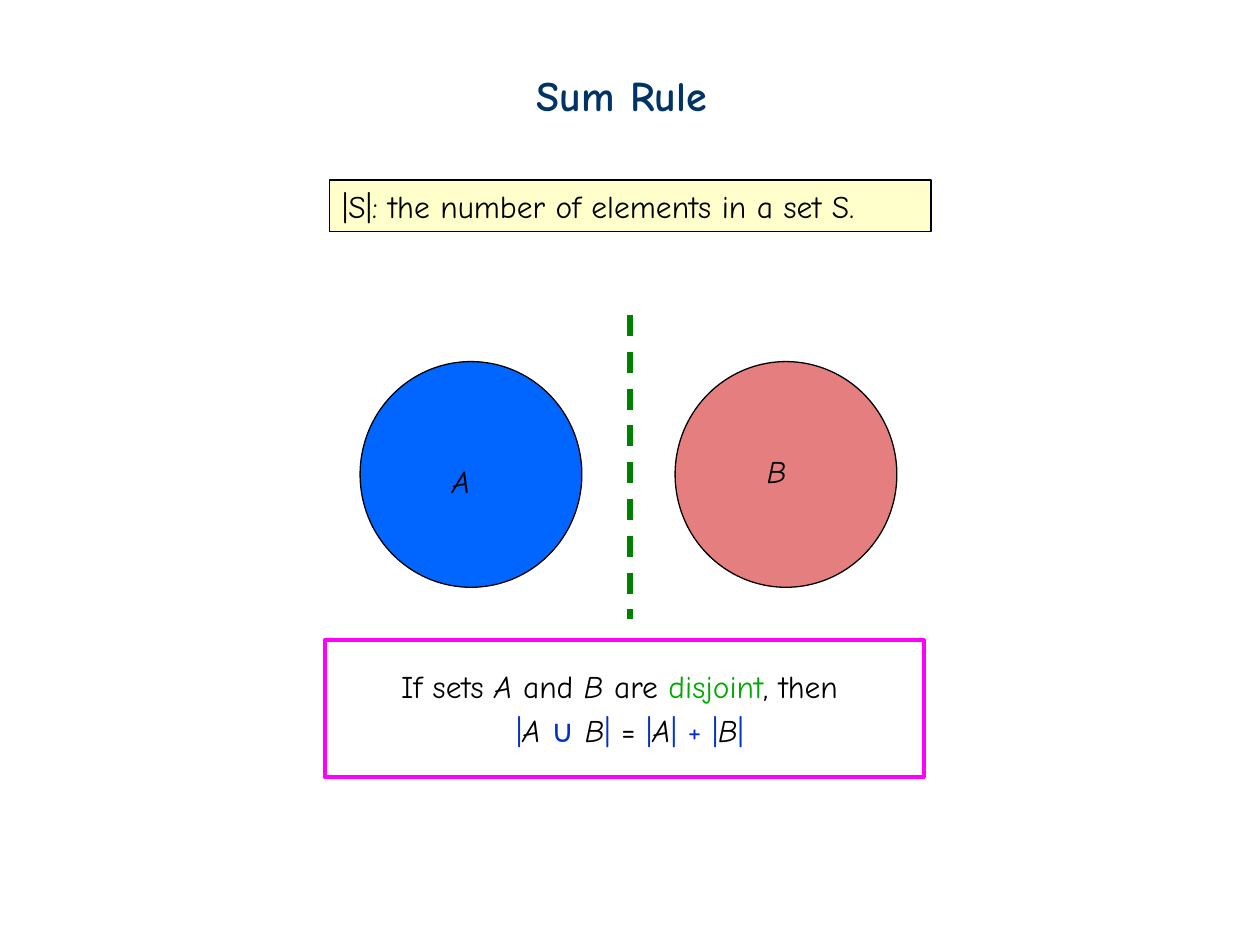
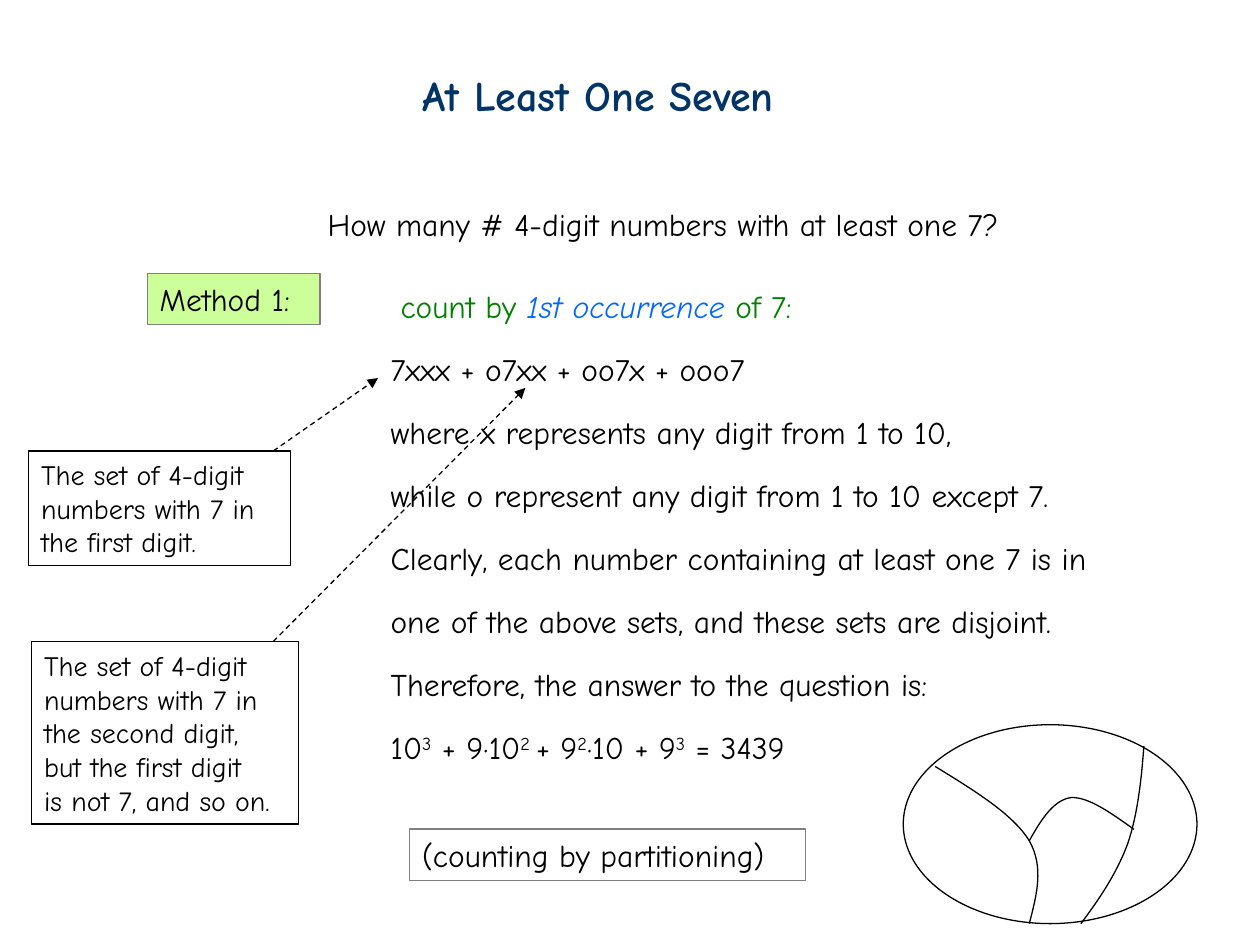
from collections import namedtuple
from dataclasses import dataclass
from pptx import Presentation
from pptx.dml.color import RGBColor
from pptx.enum import dml, shapes, text
from pptx.oxml import ns, xmlchemy
from pptx.util import Cm, Pt

Box = namedtuple("Box", "x y w h")
Run = namedtuple("Run", "text color italic sup", defaults=(None, False, False))


@dataclass(frozen=True)
class Theme:
    font: str = "Comic Neue"
    head: int = 24
    main: int = 18
    note: int = 16
    thin: float = 0.75
    ink: str = "000000"
    navy: str = "003366"
    blue: str = "0066FF"
    deep: str = "0033CC"
    red: str = "CC0000"
    green: str = "008000"
    leaf: str = "04A804"
    pink: str = "FF00FF"
    gray: str = "808080"
    cream: str = "FFFFCC"
    lime: str = "CCFF99"


T = Theme()
SHAPE = shapes.MSO_SHAPE


def rgb(code):
    return RGBColor.from_string(code)


def child(parent, tag, **attrs):
    node = xmlchemy.OxmlElement(tag)
    for key, value in attrs.items():
        node.set(key, value)
    parent.append(node)
    return node


# Text

def style(para, runs, size, color=T.ink, bold=False):
    """Fill a paragraph with plain strings or Run items."""
    for item in runs:
        item = item if isinstance(item, Run) else Run(item)
        run = para.add_run()
        run.text = item.text
        run.font.italic = item.italic
        run.font.color.rgb = rgb(item.color or color)
        if item.sup:
            run.font._element.set("baseline", "30000")
    for font in [para.font, *(run.font for run in para.runs)]:
        font.name, font.size, font.bold = T.font, Pt(size), bold


def write(shape, paras, size=T.main, align=text.PP_ALIGN.LEFT,
          anchor=text.MSO_ANCHOR.TOP, **look):
    frame = shape.text_frame
    frame.word_wrap = True
    frame.auto_size = text.MSO_AUTO_SIZE.NONE
    frame.vertical_anchor = anchor
    for i, runs in enumerate(paras):
        para = frame.add_paragraph() if i else frame.paragraphs[0]
        para.alignment = align
        style(para, runs, size, **look)
    return frame.paragraphs


def indent(para, left=0):
    """Drop the bullet and set a plain left indent."""
    props = para._p.get_or_add_pPr()
    props.set("marL", str(Cm(left)))
    props.set("indent", "0")
    props.insert_element_before(xmlchemy.OxmlElement("a:buNone"),
                                "a:tabLst", "a:defRPr", "a:extLst")


def place(shape, box):
    shape.left, shape.top, shape.width, shape.height = map(Cm, box)
    return shape


# Shapes and lines

def draw(slide, kind, box, fill=None, line=T.ink, width=T.thin):
    shape = slide.shapes.add_shape(kind, *map(Cm, box))
    return paint(shape, fill, line, width)


def paint(shape, fill=None, line=T.ink, width=T.thin):
    shape.shadow.inherit = False
    if fill:
        shape.fill.solid()
        shape.fill.fore_color.rgb = rgb(fill)
    else:
        shape.fill.background()
    shape.line.color.rgb = rgb(line)
    shape.line.width = Pt(width)
    return shape


def panel(slide, box, lines, size=T.main, **look):
    shape = draw(slide, SHAPE.RECTANGLE, box, **look)
    write(shape, [[line] for line in lines], size,
          anchor=text.MSO_ANCHOR.MIDDLE)


def dash(slide, start, end, color=T.ink, width=T.thin, arrow=False):
    line = slide.shapes.add_connector(
        shapes.MSO_CONNECTOR.STRAIGHT, *map(Cm, (*start, *end)))
    line.line.color.rgb = rgb(color)
    line.line.width = Pt(width)
    line.line.dash_style = dml.MSO_LINE.DASH
    if arrow:
        child(line.line._get_or_add_ln(), "a:tailEnd", type="triangle")
    child(line._element.spPr, "a:effectLst")


def curve(slide, points):
    """Draw cubic curves: a start, then two controls and an end for each."""
    points = [(Cm(x), Cm(y)) for x, y in points]
    pen = slide.shapes.build_freeform(*points[0])
    pen.add_line_segments(points[1:], close=False)
    shape = paint(pen.convert_to_shape())
    steps = list(shape._element.iter(ns.qn("a:lnTo")))
    for i in range(0, len(steps), 3):
        bend = xmlchemy.OxmlElement("a:cubicBezTo")
        steps[i].addprevious(bend)
        for step in steps[i:i + 3]:
            bend.append(step[0])
            step.getparent().remove(step)


# Regions

def title(slide, box, words):
    write(place(slide.shapes.title, box), [[words]], T.head,
          color=T.navy, bold=True)


def venn(slide, box):
    wide, high = 4.47, box.h
    right = box.x + box.w - wide
    sets = [("A", box.x, 1.9, T.blue), ("B", right, 1.7, T.red)]
    for name, x, drop, fill in sets:
        disc = draw(slide, SHAPE.OVAL, Box(x, box.y, wide, high), fill)
        if name == "B":
            tint = disc._element.spPr.find(".//" + ns.qn("a:srgbClr"))
            child(tint, "a:alpha", val="50000")
        spot = Box(x + 1.6, box.y + drop, 0.97, 1.02)
        label = slide.shapes.add_textbox(*map(Cm, spot))
        write(label, [[Run(name, italic=True)]])
    mid = box.x + box.w / 2 + 0.03
    dash(slide, (mid, box.y - 0.94), (mid, box.y + high + 0.63), T.green, 3)


def rule(slide, box):
    draw(slide, SHAPE.RECTANGLE, box, line=T.pink, width=2.25)
    body = place(slide.placeholders[1],
                 Box(box.x + 0.43, box.y + 0.41, box.w - 0.84, 1.93))
    a, b = Run("A", italic=True), Run("B", italic=True)
    bar = Run("|", T.deep)
    paras = write(body, [
        ["If sets ", a, " and ", b, " are ", Run("disjoint", T.leaf),
         ", then "],
        [" ", bar, Run("A ", italic=True), Run("∪ ", T.deep), b, bar, " = ",
         bar, a, Run("| + |", T.deep), b, bar],
    ], align=text.PP_ALIGN.CENTER)
    for para in paras:
        indent(para)


def answer(slide, box):
    two, three = Run("2", sup=True), Run("3", sup=True)
    paras = write(place(slide.placeholders[1], box), [
        ["How many # 4-digit numbers with at least one 7?"],
        [Run("count by ", T.green), Run("1st occurrence", T.blue, True),
         Run(" of 7:", T.green)],
        ["7xxx + o7xx + oo7x + ooo7"],
        ["where x represents any digit from 1 to 10,"],
        ["while o represent any digit from 1 to 10 except 7."],
        ["Clearly, each number containing at least one 7 is in"],
        ["one of the above sets, and these sets are disjoint."],
        ["Therefore, the answer to the question is:"],
        ["10", three, " + 9·10", Run("2 ", sup=True), "+ 9", two, "·10 + 9",
         three, " = 3439"],
    ])
    indent(paras[0])
    indent(paras[1], 1.47)
    paras[1].line_spacing = 2.0
    for para in paras[2:]:
        para.level = 1
        para.line_spacing = 1.5
        indent(para, 1.27)


def callout(slide, box, lines, tip):
    panel(slide, box, lines, T.note)
    dash(slide, (5.51, box.y), tip, arrow=True)


def split(slide, box):
    draw(slide, SHAPE.OVAL, box)
    cuts = [
        [(0.64, 0.84), (1.42, 1.32), (2.21, 1.8), (2.54, 2.34),
         (2.84, 2.87), (2.69, 3.43), (2.54, 4.01)],
        [(3.58, 4.01), (3.94, 3.53), (4.29, 3.02), (4.52, 2.41),
         (4.72, 1.83), (4.8, 1.12), (4.85, 0.43)],
        [(2.54, 2.34), (2.77, 1.93), (3.02, 1.52), (3.38, 1.47),
         (3.73, 1.45), (4.19, 1.78), (4.65, 2.11)],
    ]
    for cut in cuts:
        curve(slide, [(box.x + x, box.y + y) for x, y in cut])


# Slides

def sums(slide):
    title(slide, Box(10.57, 1.27, 4.24, 1.27), "Sum Rule")
    panel(slide, Box(6.65, 3.63, 12.12, 1.04),
          ["|S|: the number of elements in a set S."], fill=T.cream)
    venn(slide, Box(7.26, 7.29, 10.82, 4.55))
    rule(slide, Box(6.55, 12.9, 12.07, 2.77))


def sevens(slide):
    title(slide, Box(8.26, 1.27, 8.81, 1.27), "At Least One Seven")
    answer(slide, Box(6.35, 4.01, 17.15, 6.55))
    panel(slide, Box(2.97, 5.51, 3.48, 1.04), ["Method 1:"],
          fill=T.lime, line=T.gray)
    panel(slide, Box(8.26, 16.71, 7.98, 1.04),
          ["(counting by partitioning)"], line=T.gray)
    start = ["The set of 4-digit", "numbers with 7 in"]
    callout(slide, Box(0.58, 9.09, 5.28, 2.31),
            [*start, "the first digit."], (7.62, 7.62))
    callout(slide, Box(0.64, 12.93, 5.38, 3.68),
            [*start, "the second digit,", "but the first digit",
             "is not 7, and so on."], (10.59, 7.82))
    split(slide, Box(18.21, 14.61, 5.92, 4.01))


def main():
    deck = Presentation()
    deck.slide_width, deck.slide_height = Cm(25.4), Cm(19.05)
    for build in (sums, sevens):
        build(deck.slides.add_slide(deck.slide_layouts[1]))
    deck.save("out.pptx")


if __name__ == "__main__":
    main()
